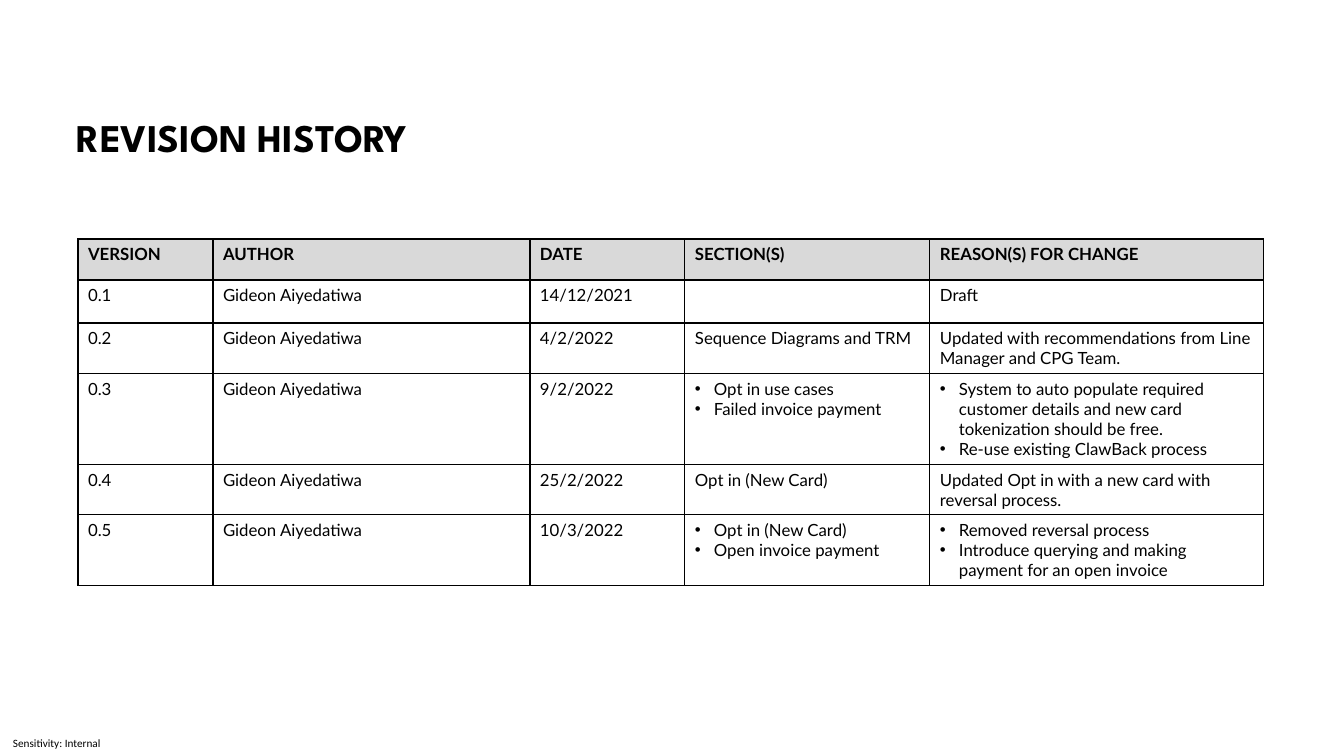
from lxml import etree
from pptx import Presentation
from pptx.dml.color import RGBColor
from pptx.enum.text import MSO_ANCHOR
from pptx.oxml.ns import qn
from pptx.util import Pt

BLACK = RGBColor(0x00, 0x00, 0x00)
GRAY = RGBColor(0xD9, 0xD9, 0xD9)
MIDDLE = MSO_ANCHOR.MIDDLE
TOP = MSO_ANCHOR.TOP

AUTHOR = "Gideon Aiyedatiwa"
HEADS = ["VERSION", "AUTHOR", "DATE", "SECTION(S)", "REASON(S) FOR CHANGE"]
CHANGES = [
    ("0.1", "14/12/2021", "", "Draft"),
    ("0.2", "4/2/2022", "Sequence Diagrams and TRM",
     "Updated with recommendations from Line Manager and CPG Team."),
    ("0.3", "9/2/2022",
     ["Opt in use cases", "Failed invoice payment"],
     ["System to auto populate required customer details and new card "
      "tokenization should be free.",
      "Re-use existing ClawBack process"]),
    ("0.4", "25/2/2022", "Opt in (New Card)",
     "Updated Opt in with a new card with reversal process."),
    ("0.5", "10/3/2022",
     ["Opt in (New Card)", "Open invoice payment"],
     ["Removed reversal process",
      "Introduce querying and making payment for an open invoice"]),
]
COLS = [135, 317, 155, 245, 334]
ROWS = [41, 43, 50, 91, 50, 71]


def px(n):
    return round(n * 914400 / 100.8)


def style(font, name, size, bold=False):
    font.name = name
    font.size = Pt(size)
    font.bold = bold
    font.color.rgb = BLACK


def label(slide, box, text, name, size, bold=False, anchor=TOP, space=1.0):
    frame = slide.shapes.add_textbox(*map(px, box)).text_frame
    frame.word_wrap = True
    frame.margin_left = frame.margin_right = 0
    frame.margin_top = frame.margin_bottom = 0
    frame.vertical_anchor = anchor
    frame.text = text
    para = frame.paragraphs[0]
    para.line_spacing = space
    style(para.runs[0].font, name, size, bold)


def bullet(para):
    props = para._p.get_or_add_pPr()
    props.set("marL", str(px(19)))
    props.set("indent", str(-px(19)))
    font = etree.SubElement(props, qn("a:buFont"))
    font.set("typeface", "Arial")
    mark = etree.SubElement(props, qn("a:buChar"))
    mark.set("char", "•")


def border(cell):
    props = cell._tc.get_or_add_tcPr()
    for at, side in enumerate(("a:lnL", "a:lnR", "a:lnT", "a:lnB")):
        line = etree.Element(qn(side), w=str(Pt(1)))
        fill = etree.SubElement(line, qn("a:solidFill"))
        etree.SubElement(fill, qn("a:srgbClr"), val=str(BLACK))
        props.insert(at, line)


def fill_cell(cell, item, head):
    listed = isinstance(item, list)
    cell.text_frame.text = "\n".join(item) if listed else item
    for para in cell.text_frame.paragraphs:
        if listed:
            bullet(para)
        style(para.font, "Lato", 12, head)
        for run in para.runs:
            style(run.font, "Lato", 12, head)
    if head:
        cell.fill.solid()
        cell.fill.fore_color.rgb = GRAY
    else:
        cell.fill.background()
    border(cell)


def history(slide, left, top):
    box = (left, top, sum(COLS), sum(ROWS))
    table = slide.shapes.add_table(len(ROWS), len(COLS), *map(px, box)).table
    table.horz_banding = False
    for col, width in zip(table.columns, COLS):
        col.width = px(width)
    for row, height in zip(table.rows, ROWS):
        row.height = px(height)
    lines = [HEADS] + [(ver, AUTHOR, *rest) for ver, *rest in CHANGES]
    for r, line in enumerate(lines):
        for c, item in enumerate(line):
            fill_cell(table.cell(r, c), item, r == 0)


def main():
    deck = Presentation()
    deck.slide_width = px(1344)
    deck.slide_height = px(756)
    slide = deck.slides.add_slide(deck.slide_layouts[6])
    label(slide, (13, 731, 102, 25), "Sensitivity: Internal", "Calibri", 8,
          anchor=MIDDLE)
    label(slide, (77, 109, 1223, 60), "REVISION HISTORY", "League Spartan", 28,
          bold=True, space=1.1)
    history(slide, 78, 239)
    deck.save("out.pptx")


if __name__ == "__main__":
    main()
